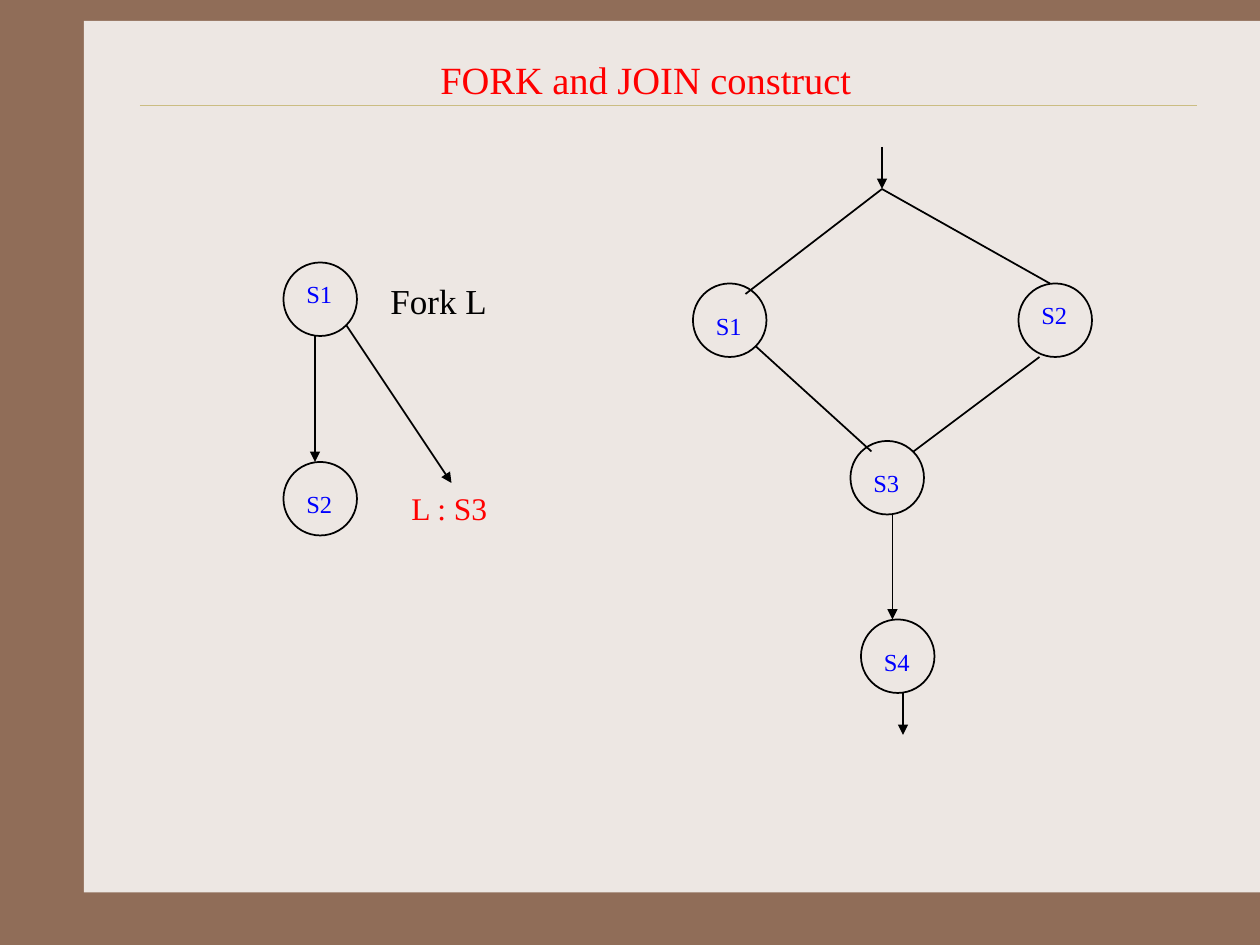
"""Build the slide that explains the FORK and JOIN construct."""
from dataclasses import dataclass

from lxml.etree import SubElement
from pptx import Presentation
from pptx.dml.color import RGBColor
from pptx.enum.shapes import MSO_CONNECTOR, MSO_SHAPE
from pptx.enum.text import MSO_ANCHOR, PP_ALIGN
from pptx.oxml.ns import qn
from pptx.util import Pt


@dataclass(frozen=True)
class Theme:
    font: str = "Times New Roman"
    frame: str = "906D58"
    panel: str = "EDE7E3"
    rule: str = "CBBD83"
    ink: str = "000000"
    accent: str = "FF0000"
    node: str = "0000FF"
    title_size: int = 22
    fork_size: int = 20
    join_size: int = 18
    node_size: int = 14
    line_width: float = 1
    rule_width: float = 0.25
    node_diameter: int = 42


class Diagram:
    def __init__(self, slide, theme):
        self.slide = slide
        self.theme = theme

    def background(self, color):
        fill = self.slide.background.fill
        fill.solid()
        fill.fore_color.rgb = RGBColor.from_string(color)

    def panel(self, left, top, width, height):
        shape = self.slide.shapes.add_shape(
            MSO_SHAPE.RECTANGLE, Pt(left), Pt(top), Pt(width), Pt(height))
        shape.shadow.inherit = False
        shape.fill.solid()
        shape.fill.fore_color.rgb = RGBColor.from_string(self.theme.panel)
        shape.line.fill.background()

    def text(self, content, left, top, width, height, size, color,
             align=PP_ALIGN.LEFT, anchor=MSO_ANCHOR.TOP):
        box = self.slide.shapes.add_textbox(Pt(left), Pt(top), Pt(width), Pt(height))
        frame = box.text_frame
        frame.word_wrap = True
        frame.vertical_anchor = anchor
        paragraph = frame.paragraphs[0]
        paragraph.alignment = align
        run = paragraph.add_run()
        run.text = content
        run.font.name = self.theme.font
        run.font.size = Pt(size)
        run.font.color.rgb = RGBColor.from_string(color)

    def node(self, name, left, top, label_drop):
        diameter = Pt(self.theme.node_diameter)
        shape = self.slide.shapes.add_shape(
            MSO_SHAPE.OVAL, Pt(left), Pt(top), diameter, diameter)
        shape.shadow.inherit = False
        shape.fill.background()
        shape.line.color.rgb = RGBColor.from_string(self.theme.ink)
        shape.line.width = Pt(self.theme.line_width)
        self.text(name, left + 6, top + label_drop, 30, 24,
                  self.theme.node_size, self.theme.node)

    def line(self, start, end, color, width):
        connector = self.slide.shapes.add_connector(
            MSO_CONNECTOR.STRAIGHT, *(Pt(value) for value in start + end))
        connector.line.color.rgb = RGBColor.from_string(color)
        connector.line.width = Pt(width)
        SubElement(connector._element.spPr, qn("a:effectLst"))
        return connector

    def edge(self, start, end):
        return self.line(start, end, self.theme.ink, self.theme.line_width)

    def arrow(self, start, end):
        connector = self.edge(start, end)
        SubElement(connector.line._get_or_add_ln(), qn("a:tailEnd"), type="triangle")


def main():
    theme = Theme()
    presentation = Presentation()
    presentation.slide_width = Pt(720)
    presentation.slide_height = Pt(540)
    slide = presentation.slides.add_slide(presentation.slide_layouts[6])
    diagram = Diagram(slide, theme)

    diagram.background(theme.frame)
    diagram.panel(48, 12, 672, 498)
    diagram.line((80, 60), (684, 60), theme.rule, theme.rule_width)
    diagram.text("FORK and JOIN construct", 144, 30, 450, 30, theme.title_size,
                 theme.accent, PP_ALIGN.CENTER, MSO_ANCHOR.MIDDLE)

    diagram.text("Fork L", 216, 156, 96, 32, theme.fork_size, theme.ink)
    diagram.text("L : S3", 228, 276, 60, 29, theme.join_size, theme.accent)

    fork_nodes = [("S1", 162, 150, 6), ("S2", 162, 264, 12)]
    join_nodes = [("S1", 396, 162, 12), ("S2", 582, 162, 6),
                  ("S3", 486, 252, 12), ("S4", 492, 354, 12)]
    for node in fork_nodes + join_nodes:
        diagram.node(*node)

    split = (504, 108)
    for start, end in [(split, (426, 168)), (split, (600, 162)),
                       ((432, 198), (498, 258)), ((594, 204), (522, 258))]:
        diagram.edge(start, end)

    for start, end in [((180, 192), (180, 264)), ((198, 186), (258, 276)),
                       ((504, 84), split), ((510, 294), (510, 354)),
                       ((516, 396), (516, 420))]:
        diagram.arrow(start, end)

    presentation.save("out.pptx")


if __name__ == "__main__":
    main()
